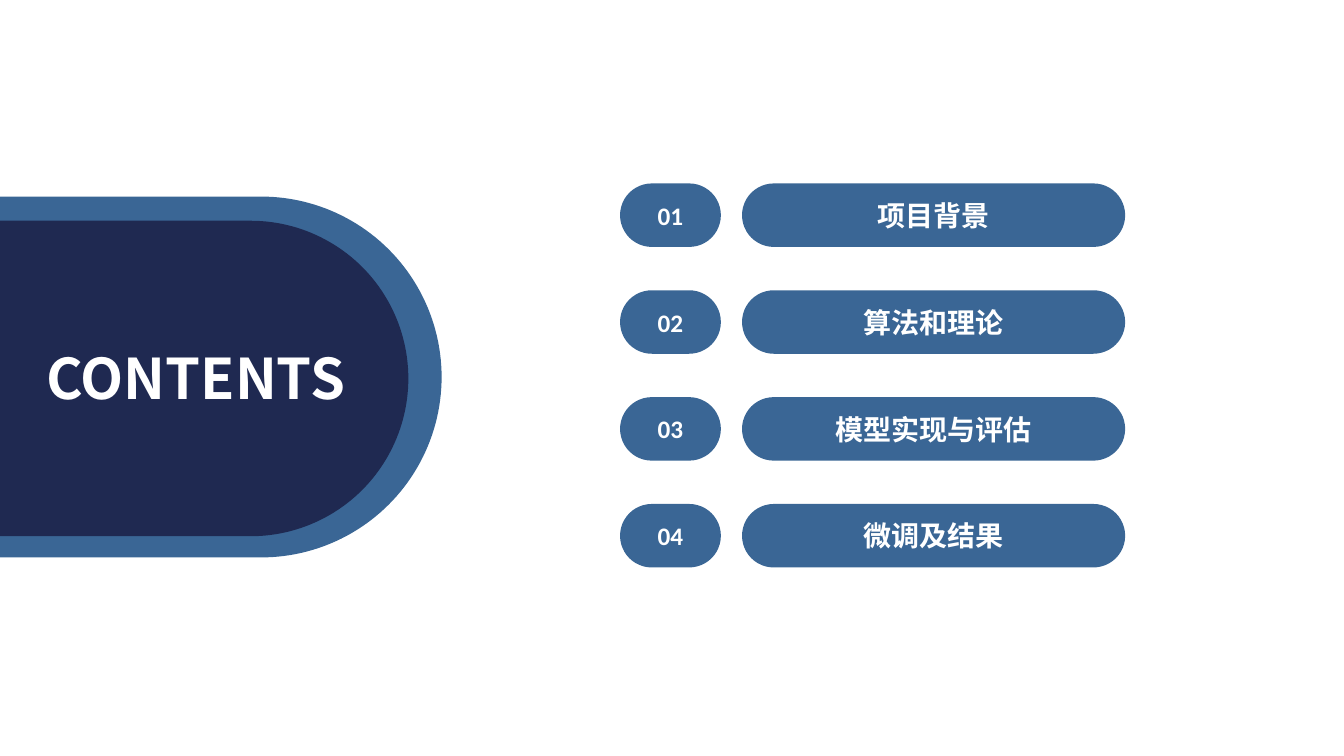
import lxml.etree
import pptx
import pptx.dml.color
import pptx.enum.shapes
import pptx.enum.text
import pptx.oxml.ns
import pptx.util

Inches = pptx.util.Inches
BLUE, NAVY, WHITE = "3A6695", "1F2951", "FFFFFF"
CJK = "Noto Sans CJK SC"
TOPICS = ["项目背景", "算法和理论", "模型实现与评估", "微调及结果"]


def color(code):
    """Turn a hex string into a colour."""
    return pptx.dml.color.RGBColor.from_string(code)


def write(shape, text, size=18, face="Calibri", ink=WHITE, wrap=True):
    """Put bold, centred text in a shape."""
    frame = shape.text_frame
    frame.word_wrap = wrap
    frame.vertical_anchor = pptx.enum.text.MSO_ANCHOR.MIDDLE
    para = frame.paragraphs[0]
    para.alignment = pptx.enum.text.PP_ALIGN.CENTER
    run = para.add_run()
    run.text = text
    run.font.size = pptx.util.Pt(size)
    run.font.bold = True
    run.font.color.rgb = color(ink)
    run.font.name = face
    props = run.font._element
    lxml.etree.SubElement(props, pptx.oxml.ns.qn("a:ea"), typeface=CJK)


def pill(slide, left, top, width, height, fill=BLUE):
    """Draw a bar with fully round ends."""
    kind = pptx.enum.shapes.MSO_SHAPE.ROUNDED_RECTANGLE
    shape = slide.shapes.add_shape(
        kind, Inches(left), Inches(top), Inches(width), Inches(height))
    shape.adjustments[0] = 0.5
    shape.shadow.inherit = False
    shape.fill.solid()
    shape.fill.fore_color.rgb = color(fill)
    shape.line.fill.background()
    return shape


def header(slide, text):
    """Place the title on top of the shapes drawn so far."""
    title = slide.shapes.title
    title.left, title.top = Inches(0.27), Inches(3.36)
    title.width, title.height = Inches(3.34), Inches(0.77)
    write(title, text, size=40, face=CJK, wrap=False)
    title.text_frame.auto_size = pptx.enum.text.MSO_AUTO_SIZE.SHAPE_TO_FIT_TEXT
    slide.shapes.element.append(title.element)


def topic(slide, index, text):
    """Draw one numbered row of the contents."""
    top = 1.82 + 1.06 * index
    write(pill(slide, 6.15, top, 1, 0.63), f"{index + 1:02}")
    write(pill(slide, 7.36, top, 3.8, 0.63), text, size=20)


def main():
    """Build and save the contents slide."""
    deck = pptx.Presentation()
    deck.slide_width, deck.slide_height = Inches(13.33), Inches(7.5)
    slide = deck.slides.add_slide(deck.slide_layouts[5])
    pill(slide, -2.03, 1.95, 6.41, 3.58)
    pill(slide, -1.7, 2.19, 5.75, 3.13, fill=NAVY)
    header(slide, "CONTENTS")
    for index, text in enumerate(TOPICS):
        topic(slide, index, text)
    deck.save("out.pptx")


if __name__ == "__main__":
    main()
